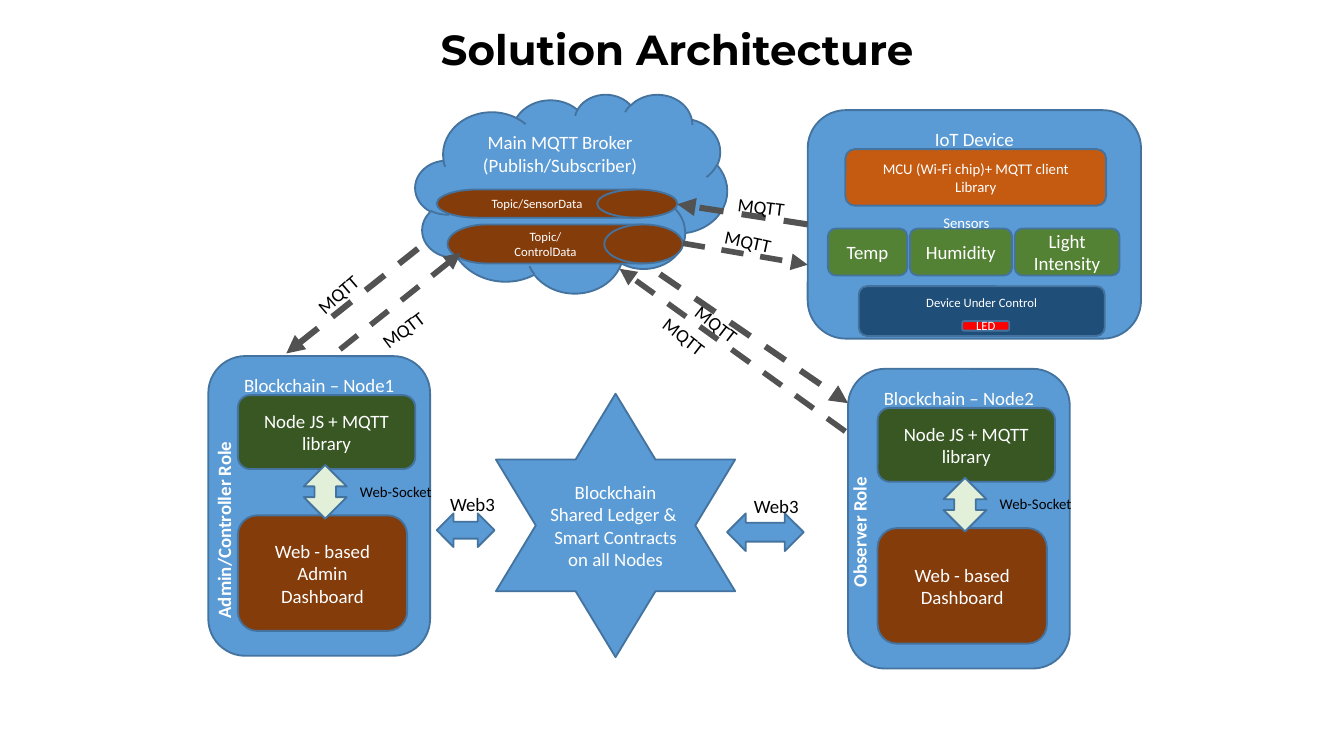
import lxml.etree
import pptx
import pptx.dml.color
import pptx.enum.dml
import pptx.enum.shapes
import pptx.enum.text
import pptx.oxml.ns
import pptx.util

CELL = 0.1  # inches; the slide is a grid of 100 columns by 56.25 rows
COLUMNS, ROWS = 100, 56.25
BLUE, OUTLINE, BROWN, GREEN = "5B9BD5", "43739E", "843C0B", "548235"
DARK_GREEN, PALE_GREEN, GREY = "385723", "E2F0D9", "525252"
SHAPE = pptx.enum.shapes.MSO_SHAPE
ALIGN = pptx.enum.text.PP_ALIGN
ANCHOR = pptx.enum.text.MSO_ANCHOR


def cells(*counts):
    return [pptx.util.Inches(count * CELL) for count in counts]


def paint(target, color):
    """Give a fill, line fill or font colour holder a solid colour."""
    if hasattr(target, "solid"):
        target.solid()
        target = target.fore_color
    target.rgb = pptx.dml.color.RGBColor.from_string(color)


def write(box, text, size=10.1, color="FFFFFF", font="Calibri", bold=False,
          align=ALIGN.CENTER, anchor=ANCHOR.MIDDLE, spacing=None):
    """Fill a shape with text, one paragraph per line."""
    frame = box.text_frame
    frame.word_wrap = True
    frame.vertical_anchor = anchor
    for index, line in enumerate(text.split("\n")):
        para = frame.add_paragraph() if index else frame.paragraphs[0]
        para.alignment = align
        if spacing:
            para.line_spacing = spacing
        span = para.add_run()
        span.text = line
        span.font.name, span.font.size, span.font.bold = font, pptx.util.Pt(size), bold
        paint(span.font.color, color)


def block(page, kind, area, fill, text="", **style):
    box = page.shapes.add_shape(kind, *cells(*area))
    box.shadow.inherit = False
    paint(box.fill, fill)
    paint(box.line.fill, OUTLINE)
    box.line.width = pptx.util.Pt(1)
    if text:
        write(box, text, **style)


def label(page, area, text, turn=0, upright=False, **style):
    """Place a text box, turned by degrees or reading upwards."""
    box = page.shapes.add_textbox(*cells(*area))
    box.rotation = turn
    style = {"color": "000000", "align": ALIGN.LEFT, "anchor": ANCHOR.TOP} | style
    write(box, text, **style)
    box.text_frame.auto_size = pptx.enum.text.MSO_AUTO_SIZE.SHAPE_TO_FIT_TEXT
    if upright:
        box.text_frame._txBody.bodyPr.set("vert", "vert270")


def dashed_arrow(page, start, end, width):
    arrow = page.shapes.add_connector(
        pptx.enum.shapes.MSO_CONNECTOR.STRAIGHT, *cells(*start, *end))
    paint(arrow.line.fill, GREY)
    arrow.line.width = pptx.util.Pt(width)
    arrow.line.dash_style = pptx.enum.dml.MSO_LINE.DASH
    qn = pptx.oxml.ns.qn
    properties = arrow._element.spPr
    lxml.etree.SubElement(properties.find(qn("a:ln")), qn("a:tailEnd"), type="triangle")
    lxml.etree.SubElement(properties, qn("a:effectLst"))


def broker(page):
    block(page, SHAPE.CLOUD, (30.9, 7, 23.2, 14.8), BLUE,
          "Main MQTT Broker\n(Publish/Subscriber)", anchor=ANCHOR.TOP)
    drum = SHAPE.FLOWCHART_DIRECT_ACCESS_STORAGE
    block(page, drum, (32.5, 14.1, 17.9, 2.1), BROWN, "Topic/SensorData", size=6.8)
    block(page, drum, (33.3, 16.7, 17.5, 2.9), BROWN, "Topic/ControlData", size=6.8)


def device(page):
    panel = SHAPE.ROUNDED_RECTANGLE
    block(page, panel, (60.1, 8.2, 24.8, 17), BLUE, "IoT Device", anchor=ANCHOR.TOP)
    left, gap = 61.6, 0.2
    for name, width in (("Temp", 5.9), ("Humidity", 7.6), ("Light Intensity", 7.8)):
        block(page, panel, (left, 17, width, 3.5), GREEN, name)
        left += width + gap
    block(page, panel, (62.9, 11.1, 19.4, 4.2), "C55A11",
          "MCU (Wi-Fi chip)+ MQTT client Library", size=7.9)
    block(page, panel, (63.9, 21.3, 18.3, 3.7), "1F4E79",
          "Device Under Control", size=6.8, anchor=ANCHOR.TOP)
    label(page, (69.2, 15.4, 5.9, 2.3), "Sensors", size=7.9, color="FFFFFF")
    block(page, panel, (71.6, 23.9, 3.5, 0.7), "FF0000", "LED", size=6.8)


def node(page, left, top, name, dashboard, role, role_area):
    panel = SHAPE.ROUNDED_RECTANGLE
    block(page, panel, (left, top, 16.5, 22.3), BLUE, name, anchor=ANCHOR.TOP)
    block(page, panel, (left + 2.2, top + 2.9, 13.2, 5.5), DARK_GREEN,
          "Node JS + MQTT library")
    block(page, panel, (left + 2.2, top + 11.85, 12.6, 8.6), BROWN, dashboard)
    block(page, SHAPE.UP_DOWN_ARROW, (left + 7.1, top + 8.1, 3.2, 4), PALE_GREEN)
    label(page, (left + 10.3, top + 8.9, 8.1, 2.3), "Web-Socket", size=7.9)
    label(page, role_area, role, upright=True, color="FFFFFF", bold=True)


def ledger(page):
    block(page, SHAPE.STAR_6_POINT, (36.9, 29.3, 17.8, 19.6), BLUE,
          "Blockchain Shared Ledger & \nSmart Contracts on all Nodes")
    block(page, SHAPE.LEFT_RIGHT_ARROW, (32.5, 38.2, 4.3, 2.5), BLUE)
    block(page, SHAPE.LEFT_RIGHT_ARROW, (54.1, 38.2, 5.7, 2.8), BLUE)
    for left, top in ((32.5, 36.2), (55.1, 36.3)):
        label(page, (left, top, 8.1, 2.7), "Web3")


def messages(page):
    """Draw the MQTT arrows, each with its slanted label."""
    links = [
        ((60.1, 16.7), (50.4, 15.2), 3.25, (53.9, 14.2), 7.1),
        ((50.8, 18.1), (60.1, 19.7), 3, (52.9, 16.9), 12.2),
        ((31.1, 18.5), (21.3, 26.3), 3.25, (22.1, 19.7), 319.1),
        ((25.3, 26), (34.3, 18.8), 3, (27, 22.4), 322.7),
        ((49.1, 20.4), (63.1, 30), 3.25, (50.3, 23.6), 37.7),
        ((62.9, 32.1), (46.1, 20), 3, (47.9, 24.5), 37.7),
    ]
    for start, end, width, corner, turn in links:
        dashed_arrow(page, start, end, width)
        label(page, (*corner, 8.1, 2.7), "MQTT", turn=turn)


def main():
    deck = pptx.Presentation()
    deck.slide_width, deck.slide_height = cells(COLUMNS, ROWS)
    page = deck.slides.add_slide(deck.slide_layouts[6])
    broker(page)
    device(page)
    node(page, 15.5, 26.5, "Blockchain – Node1", "Web - based Admin Dashboard",
         "Admin/Controller Role", (15.3, 30.6, 3.7, 16.4))
    node(page, 63.1, 27.45, "Blockchain – Node2", "Web - based Dashboard",
         "Observer Role", (62.6, 31.4, 3.7, 13.3))
    messages(page)
    ledger(page)
    title = page.shapes.add_textbox(*cells(14.6, 1.2, 71.6, 5.3))
    write(title, "Solution Architecture", size=22.5, color="000000",
          font="Montserrat", bold=True, spacing=0.9)
    deck.save("out.pptx")


if __name__ == "__main__":
    main()
